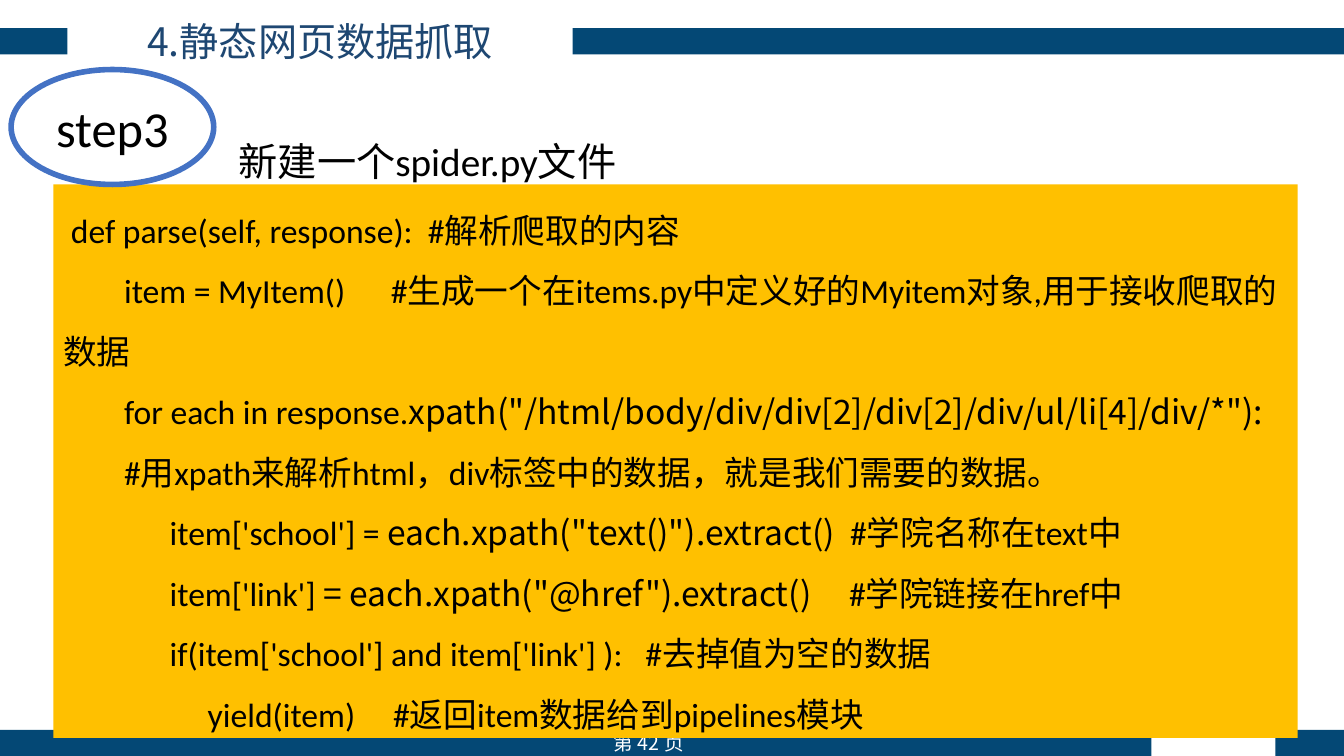
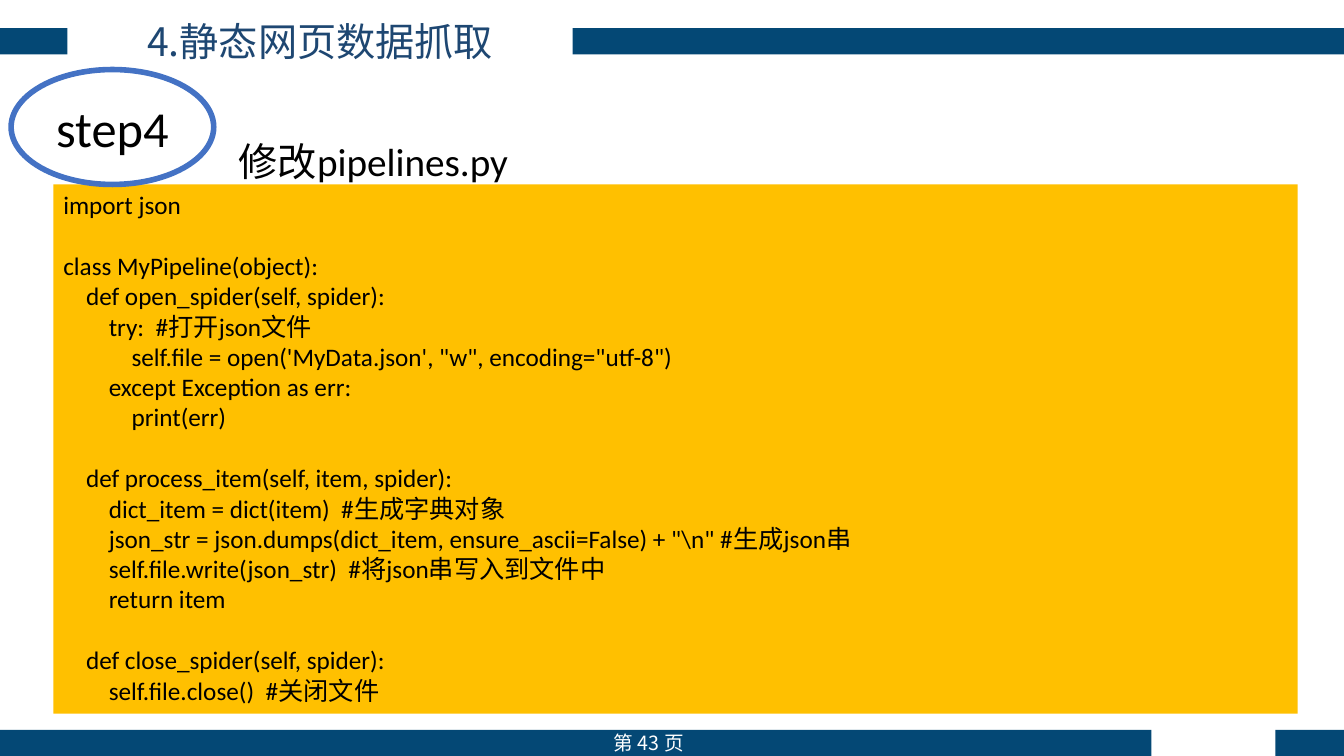
import itertools
from dataclasses import dataclass

import pptx
import pptx.dml.color
import pptx.enum.shapes
import pptx.enum.text
import pptx.oxml.ns
import pptx.util
from lxml import etree

Inches = pptx.util.Inches
Align = pptx.enum.text.PP_ALIGN
Anchor = pptx.enum.text.MSO_ANCHOR
Shape = pptx.enum.shapes.MSO_SHAPE


@dataclass(frozen=True)
class Theme:
    band: str = "044875"
    title: str = "1E4772"
    code: str = "FFC000"
    ring: str = "4472C4"
    ink: str = "000000"
    paper: str = "FFFFFF"
    latin: str = "Calibri"
    chinese: str = "Noto Sans CJK SC"
    step_size: int = 36
    title_size: int = 28
    footer_size: int = 14
    ring_width: int = 4


THEME = Theme()
TITLE = "4.静态网页数据抓取"
BANDS = [(0, 0.28, 0.67), (5.68, 0.28, 7.65), (12.65, 7.24, 0.68), (0, 7.24, 11.42)]
BAND_HEIGHT = 0.26

SPIDER_CODE = [
    (" def parse(self, response):  #解析爬取的内容",),
    ("        item = MyItem()      #生成一个在items.py中定义好的Myitem对象,用于接收爬取的数据",),
    ("        for each in response.", 'xpath("/html/body/div/div[2]/div[2]/div/ul/li[4]/div/*"):'),
    ("        #用xpath来解析html，div标签中的数据，就是我们需要的数据。",),
    ("              item['school'] = ", 'each.xpath("text()").extract()  ', "#学院名称在text中"),
    ("              item['link'] ", '= each.xpath("@href").extract()     ', "#学院链接在href中"),
    ("              if(item['school'] and item['link'] ):   #去掉值为空的数据",),
    ("                   yield(item)     #返回item数据给到pipelines模块",),
]

PIPELINE_CODE = [
    ["import json"],
    ["class MyPipeline(object):",
     "    def open_spider(self, spider):",
     "        try:  #打开json文件",
     "            self.file = open('MyData.json', \"w\", encoding=\"utf-8\")",
     "        except Exception as err:",
     "            print(err)"],
    ["    def process_item(self, item, spider):",
     "        dict_item = dict(item)  #生成字典对象",
     "        json_str = json.dumps(dict_item, ensure_ascii=False) + \"\\n\" #生成json串",
     "        self.file.write(json_str)  #将json串写入到文件中",
     "        return item"],
    ["    def close_spider(self, spider):",
     "        self.file.close()  #关闭文件"],
]


def color(value):
    return pptx.dml.color.RGBColor.from_string(value)


def write(frame, groups, *, size, ink=THEME.ink, fonts=(THEME.latin,), align=Align.LEFT,
          anchor=Anchor.TOP, margins=(0.1, 0.05), spacing=None, group_gap=22):
    """Write groups of lines, each line a tuple of spans whose fonts alternate."""
    frame.word_wrap = True
    frame.auto_size = pptx.enum.text.MSO_AUTO_SIZE.NONE
    frame.vertical_anchor = anchor
    frame.margin_left = frame.margin_right = Inches(margins[0])
    frame.margin_top = frame.margin_bottom = Inches(margins[1])
    first = True
    for lines in groups:
        for index, spans in enumerate(lines):
            para = frame.paragraphs[0] if first else frame.add_paragraph()
            para.alignment = align
            if spacing:
                para.line_spacing = spacing
            if index == 0 and not first:
                para.space_before = pptx.util.Pt(group_gap)
            first = False
            for text, font in zip(spans, itertools.cycle(fonts)):
                span = para.add_run()
                span.text = text
                span.font.size = pptx.util.Pt(size)
                span.font.bold = False
                span.font.name = font
                span.font.color.rgb = color(ink)
                etree.SubElement(span.font._element, pptx.oxml.ns.qn("a:ea"),
                                 typeface=THEME.chinese)


class Builder:
    def __init__(self, deck, theme):
        self.deck = deck
        self.theme = theme
        self.page = None

    def start(self, number):
        self.page = self.deck.slides.add_slide(self.deck.slide_layouts[5])
        for left, top, width in BANDS:
            self.shape(Shape.RECTANGLE, (left, top, width, BAND_HEIGHT), self.theme.band)
        self.label(f"第 {number} 页", (5.8, 7.2, 1.27, 0.34), size=self.theme.footer_size,
                   ink=self.theme.paper, fonts=(self.theme.chinese,),
                   align=Align.CENTER, margins=(0.05, 0.05))
        self.title(TITLE)

    def title(self, text):
        box = self.page.shapes.title
        box.left, box.top, box.width, box.height = map(Inches, (0.67, 0.12, 5.01, 0.57))
        write(box.text_frame, [[(text,)]], size=self.theme.title_size, ink=self.theme.title,
              fonts=(self.theme.chinese,), align=Align.CENTER, anchor=Anchor.MIDDLE)

    def shape(self, kind, place, fill):
        shape = self.page.shapes.add_shape(kind, *map(Inches, place))
        shape.shadow.inherit = False
        shape.fill.solid()
        shape.fill.fore_color.rgb = color(fill)
        shape.line.fill.background()
        return shape

    def label(self, text, place, **style):
        box = self.page.shapes.add_textbox(*map(Inches, place))
        write(box.text_frame, [[(text,)]], **style)

    def heading(self, text):
        self.label(text, (2.27, 1.03, 9.56, 0.91), size=self.theme.title_size,
                   margins=(0.1, 0.1), spacing=1.5)

    def code(self, groups, height, **style):
        panel = self.shape(Shape.RECTANGLE, (0.53, 1.83, 12.34, height), self.theme.code)
        write(panel.text_frame, groups, fonts=(self.theme.latin, self.theme.chinese), **style)

    def step(self, text):
        ring = self.shape(Shape.OVAL, (0.11, 0.69, 2.01, 1.14), self.theme.paper)
        ring.line.color.rgb = color(self.theme.ring)
        ring.line.width = pptx.util.Pt(self.theme.ring_width)
        write(ring.text_frame, [[(text,)]], size=self.theme.step_size, align=Align.CENTER,
              anchor=Anchor.MIDDLE, margins=(0.1, 0.1))


def main():
    deck = pptx.Presentation()
    deck.slide_width, deck.slide_height = Inches(13.33), Inches(7.5)
    builder = Builder(deck, THEME)

    builder.start(42)
    builder.heading("新建一个spider.py文件")
    builder.code([SPIDER_CODE], 5.49, size=24, spacing=1.5)
    builder.step("step3")

    builder.start(43)
    builder.heading("修改pipelines.py")
    builder.code([[(line,) for line in lines] for lines in PIPELINE_CODE], 5.25, size=18)
    builder.step("step4")

    deck.save("out.pptx")


if __name__ == "__main__":
    main()
